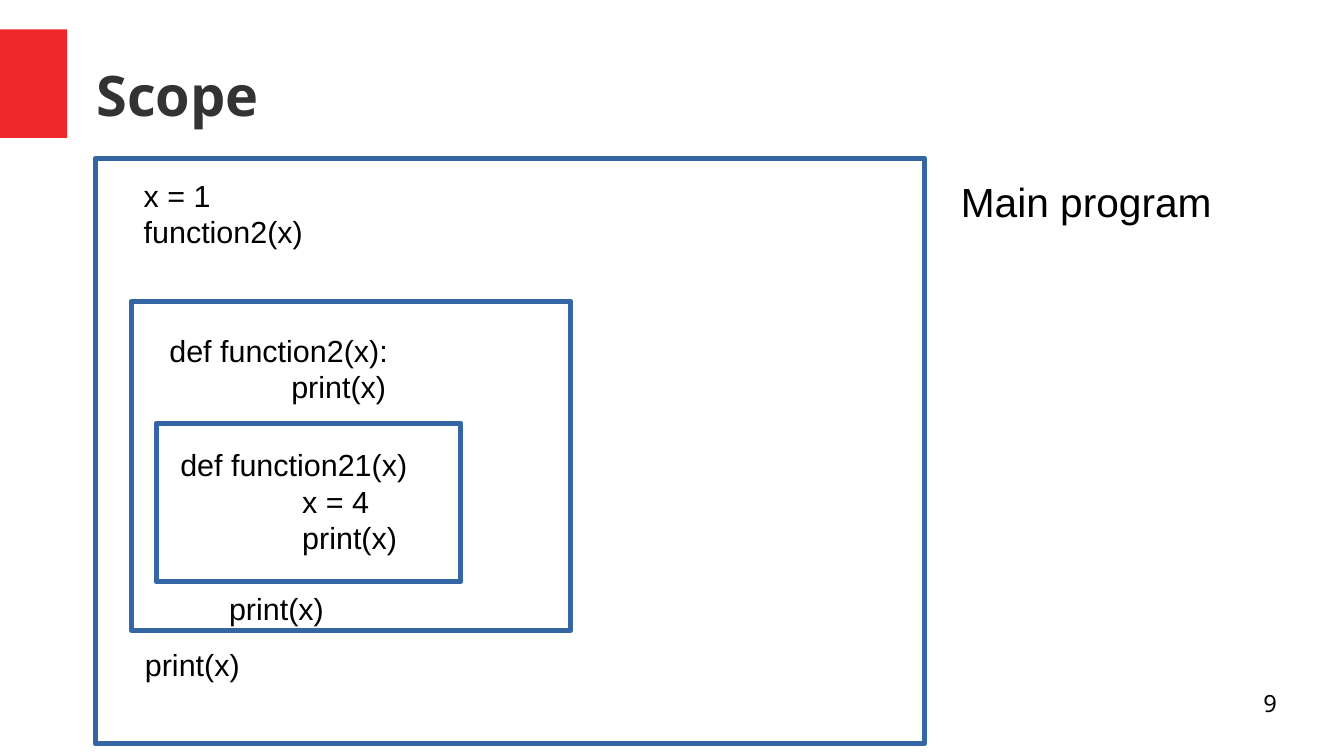
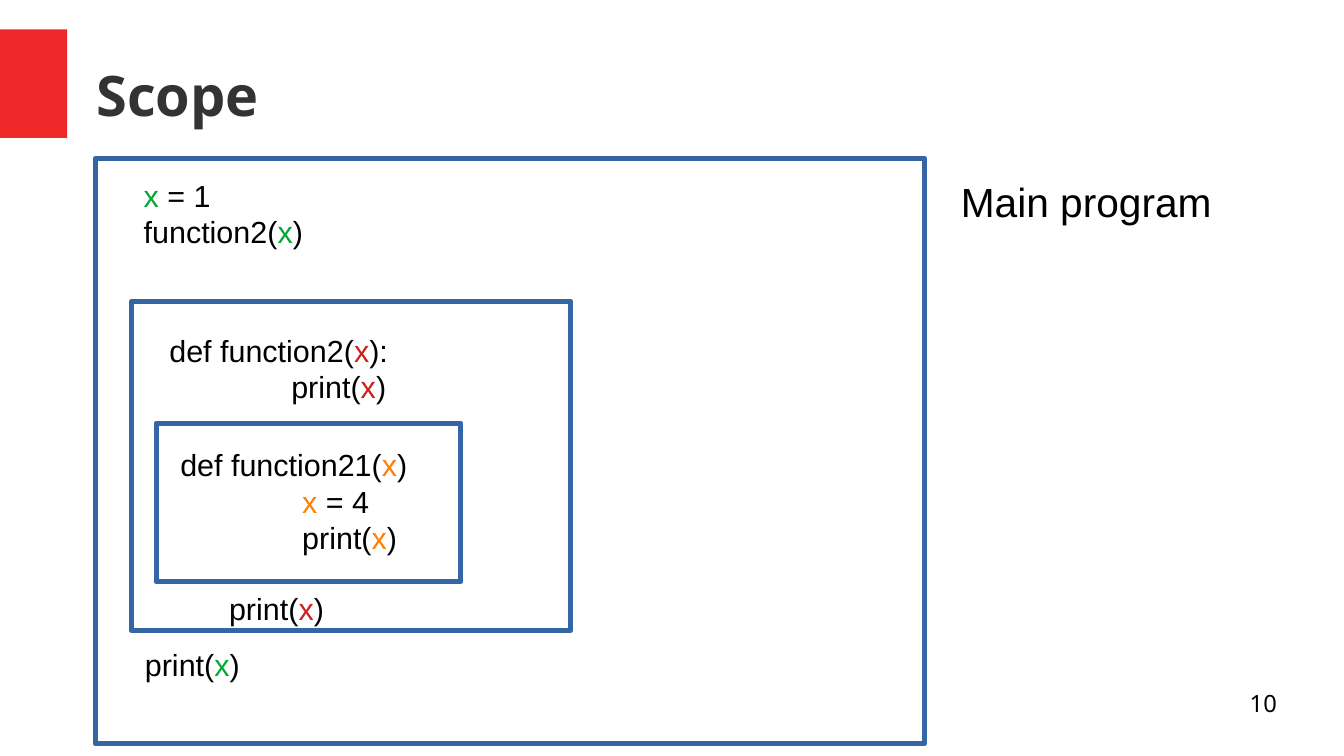
"""Build two slides on variable scope in nested functions."""
import pptx
import pptx.dml.color
import pptx.enum.shapes
import pptx.enum.text
import pptx.util

Inches = pptx.util.Inches
ALIGN = pptx.enum.text.PP_ALIGN
ANCHOR = pptx.enum.text.MSO_ANCHOR

BLACK = "000000"
TITLE_GREY = "333333"
ACCENT_RED = "EF2929"
FRAME_BLUE = "3465A4"
SCOPE_COLORS = {"main": "00A933", "function2": "C9211E", "function21": "FF8000"}

SCOPE_FRAMES = [
    (0.78, 1.3, 6.8, 4.8),
    (1.08, 2.47, 3.6, 2.7),
    (1.28, 3.47, 2.5, 1.3),
]
CODE_WIDTH = 3.6
CODE_BLOCKS = [
    ("main", 1.08, 1.4, 0.66, ["x = 1", "function2(x)"]),
    ("function21", 1.38, 3.61, 0.94, ["def function21(x)", "\tx = 4", "\tprint(x)"]),
    ("main", 1.09, 5.25, 0.38, ["print(x)"]),
    ("function2", 1.29, 2.67, 0.7, ["def function2(x):", "\tprint(x)"]),
    ("function2", 1.78, 4.79, 0.38, ["print(x)"]),
]


def rgb(color):
    """Turn a hex string into a colour."""
    return pptx.dml.color.RGBColor.from_string(color)


def add_box(slide, box, fill=None, line=None):
    """Add a rectangle with an optional fill and outline."""
    rectangle = slide.shapes.add_shape(
        pptx.enum.shapes.MSO_SHAPE.RECTANGLE, *map(Inches, box))
    rectangle.shadow.inherit = False
    if fill:
        rectangle.fill.solid()
        rectangle.fill.fore_color.rgb = rgb(fill)
    else:
        rectangle.fill.background()
    if line:
        rectangle.line.color.rgb = rgb(line)
        rectangle.line.width = pptx.util.Pt(3)
    else:
        rectangle.line.fill.background()


def add_text(slide, box, lines, size=18, font="Arial", color=BLACK, x_color=None,
             bold=False, align=ALIGN.LEFT, anchor=ANCHOR.TOP, margins=(0.1, 0.05)):
    """Add lines of text, indenting after a tab and tinting the variable x."""
    frame = slide.shapes.add_textbox(*map(Inches, box)).text_frame
    frame.word_wrap = True
    frame.vertical_anchor = anchor
    frame.margin_left = frame.margin_right = Inches(margins[0])
    frame.margin_top = frame.margin_bottom = Inches(margins[1])
    for index, line in enumerate(lines):
        paragraph = frame.add_paragraph() if index else frame.paragraphs[0]
        paragraph.alignment = align
        if line.startswith("\t"):
            paragraph._p.get_or_add_pPr().set("marL", str(Inches(1)))
        code = line.lstrip("\t")
        pieces = code.partition("x") if x_color else [code]
        for piece in filter(None, pieces):
            run = paragraph.add_run()
            run.text = piece
            run.font.size = pptx.util.Pt(size)
            run.font.name = font
            run.font.bold = bold
            run.font.color.rgb = rgb(x_color if x_color and piece == "x" else color)


def add_base(slide, title, number):
    """Add the accent block, title and slide number."""
    add_box(slide, (0, 0.24, 0.55, 0.89), fill=ACCENT_RED)
    add_text(slide, (0.79, 0.25, 9.68, 1.04), [title], size=33, font="Noto Sans",
             color=TITLE_GREY, bold=True, anchor=ANCHOR.MIDDLE, margins=(0, 0))
    add_text(slide, (7.9, 5.65, 2.57, 0.43), [str(number)], size=14,
             font="Noto Sans", align=ALIGN.RIGHT, margins=(0, 0))


def add_scope_diagram(slide, x_colors):
    """Add the nested scopes with their code."""
    for frame in SCOPE_FRAMES:
        add_box(slide, frame, line=FRAME_BLUE)
    add_text(slide, (7.78, 1.4, 2.3, 0.47), ["Main program"], size=24)
    for scope, left, top, height, lines in CODE_BLOCKS:
        add_text(slide, (left, top, CODE_WIDTH, height), lines,
                 x_color=x_colors.get(scope))


def main():
    """Build and save the slides."""
    deck = pptx.Presentation()
    deck.slide_width = Inches(11.02)
    deck.slide_height = Inches(6.2)
    for number, x_colors in [(9, {}), (10, SCOPE_COLORS)]:
        slide = deck.slides.add_slide(deck.slide_layouts[6])
        add_base(slide, "Scope", number)
        add_scope_diagram(slide, x_colors)
    deck.save("out.pptx")


if __name__ == "__main__":
    main()
